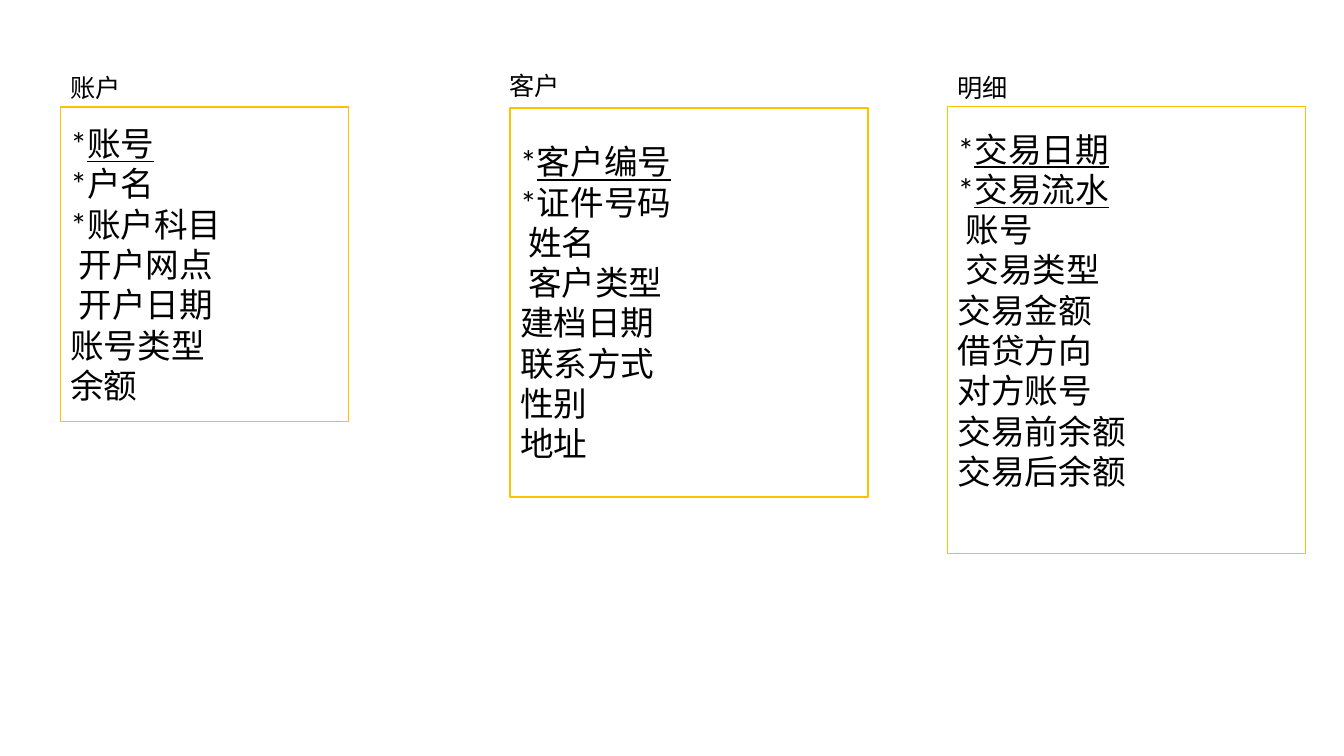
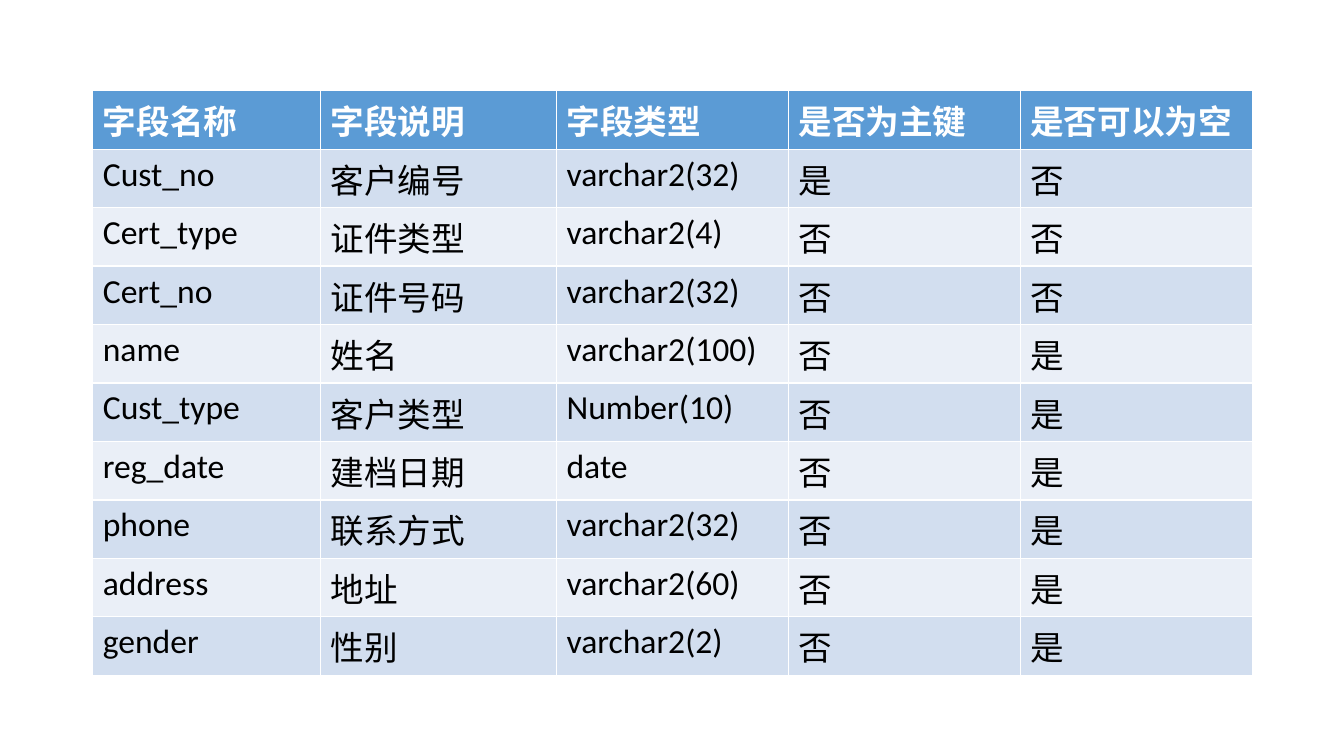
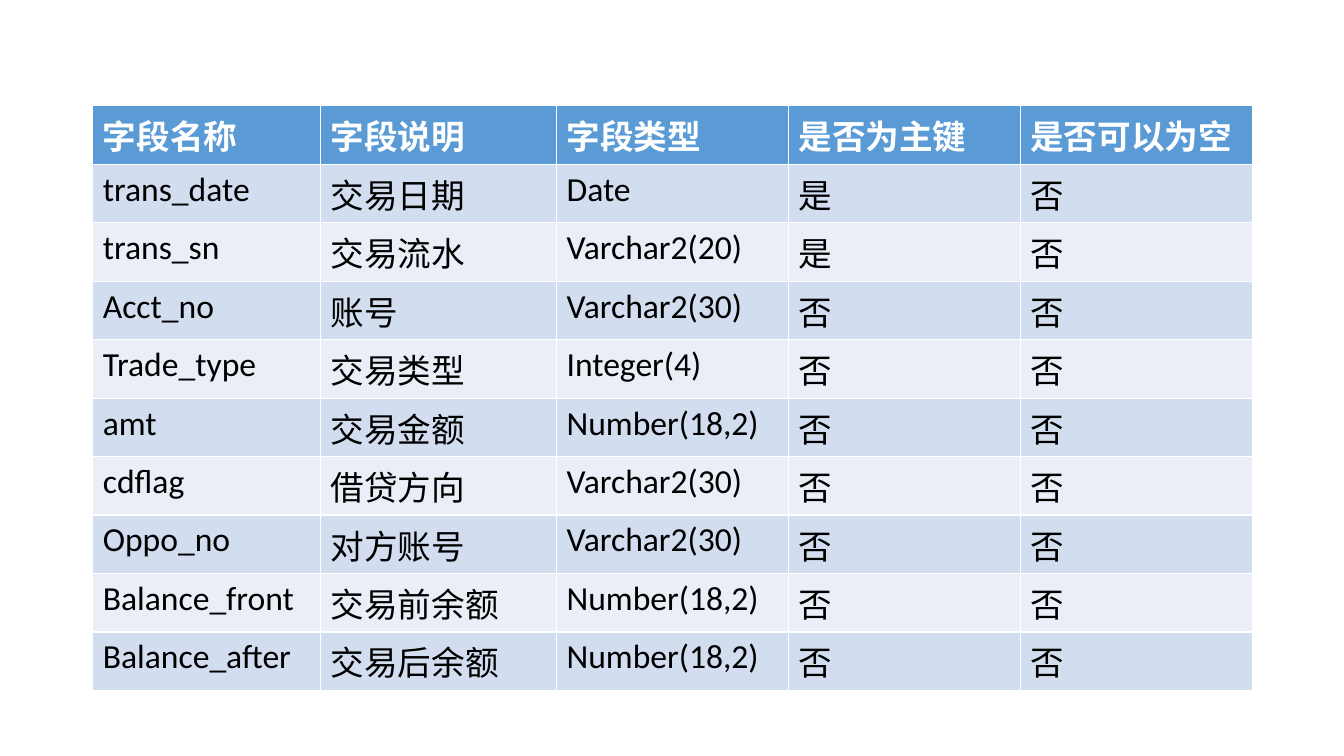
from dataclasses import dataclass

import pptx
import pptx.dml.color
import pptx.enum.shapes
import pptx.enum.text
import pptx.util

Inches = pptx.util.Inches
Pt = pptx.util.Pt
RGB = pptx.dml.color.RGBColor.from_string


@dataclass(frozen=True)
class Theme:
    font: str = "Calibri"
    text: str = "000000"
    white: str = "FFFFFF"
    outline: str = "FFC000"
    header: str = "5B9BD5"
    bands: tuple = ("D2DEEF", "EAEFF7")
    body_size: int = 24
    label_size: int = 18
    line_width: int = 1


THEME = Theme()
FIELD_INDENT = 0.08
LABEL_SIZE = (1.42, 0.4)
TABLE_LEFT = 0.92
COLUMN_WIDTHS = (2.26, 2.34, 2.3, 2.3, 2.3)
ROW_HEIGHT = 0.58
HEADINGS = ("字段名称", "字段说明", "字段类型", "是否为主键", "是否可以为空")


@dataclass(frozen=True)
class Entity:
    name: str
    label_at: tuple
    box: tuple
    keys: tuple
    required: tuple
    indented: tuple
    plain: tuple
    bottom_inset: float = 0.05


ENTITIES = (
    Entity("账户", (0.6, 0.67), (0.6, 1.06, 2.86, 3.12),
           keys=("账号",), required=("户名", "账户科目"),
           indented=("开户网点", "开户日期"), plain=("账号类型", "余额")),
    Entity("客户", (4.95, 0.65), (5.06, 1.07, 3.55, 3.86),
           keys=("客户编号",), required=("证件号码",),
           indented=("姓名", "客户类型"),
           plain=("建档日期", "联系方式", "性别", "地址")),
    Entity("明细", (9.4, 0.67), (9.4, 1.06, 3.55, 4.43),
           keys=("交易日期", "交易流水"), required=(),
           indented=("账号", "交易类型"),
           plain=("交易金额", "借贷方向", "对方账号", "交易前余额", "交易后余额"),
           bottom_inset=0.45),
)

CUSTOMER_FIELDS = (
    ("Cust_no", "客户编号", "varchar2(32)", "是", "否"),
    ("Cert_type", "证件类型", "varchar2(4)", "否", "否"),
    ("Cert_no", "证件号码", "varchar2(32)", "否", "否"),
    ("name", "姓名", "varchar2(100)", "否", "是"),
    ("Cust_type", "客户类型", "Number(10)", "否", "是"),
    ("reg_date", "建档日期", "date", "否", "是"),
    ("phone", "联系方式", "varchar2(32)", "否", "是"),
    ("address", "地址", "varchar2(60)", "否", "是"),
    ("gender", "性别", "varchar2(2)", "否", "是"),
)

TRANSACTION_FIELDS = (
    ("trans_date", "交易日期", "Date", "是", "否"),
    ("trans_sn", "交易流水", "Varchar2(20)", "是", "否"),
    ("Acct_no", "账号", "Varchar2(30)", "否", "否"),
    ("Trade_type", "交易类型", "Integer(4)", "否", "否"),
    ("amt", "交易金额", "Number(18,2)", "否", "否"),
    ("cdflag", "借贷方向", "Varchar2(30)", "否", "否"),
    ("Oppo_no", "对方账号", "Varchar2(30)", "否", "否"),
    ("Balance_front", "交易前余额", "Number(18,2)", "否", "否"),
    ("Balance_after", "交易后余额", "Number(18,2)", "否", "否"),
)


def style_paragraph(p, size, color=THEME.text, bold=False):
    p.alignment = pptx.enum.text.PP_ALIGN.LEFT
    p.font.name = THEME.font
    p.font.size = Pt(size)
    p.font.bold = bold
    p.font.color.rgb = RGB(color)


def add_label(s, text, left, top):
    width, height = LABEL_SIZE
    tf = s.shapes.add_textbox(
        Inches(left), Inches(top), Inches(width), Inches(height)).text_frame
    tf.word_wrap = True
    p = tf.paragraphs[0]
    p.text = text
    style_paragraph(p, THEME.label_size)


def write_fields(tf, entity):
    """List the fields: starred keys underlined, then starred, indented, plain."""
    groups = (("key", entity.keys), ("required", entity.required),
              ("indented", entity.indented), ("plain", entity.plain))
    fields = [(kind, name) for kind, names in groups for name in names]
    for i, (kind, name) in enumerate(fields):
        p = tf.add_paragraph() if i else tf.paragraphs[0]
        style_paragraph(p, THEME.body_size)
        if kind == "key":
            p.add_run().text = "*"
            r = p.add_run()
            r.text = name
            r.font.underline = True
        else:
            p.add_run().text = "*" + name if kind == "required" else name
        if kind == "indented":
            p._p.get_or_add_pPr().set("marL", str(Inches(FIELD_INDENT)))


def add_entity(s, entity):
    add_label(s, entity.name, *entity.label_at)
    sp = s.shapes.add_shape(
        pptx.enum.shapes.MSO_SHAPE.RECTANGLE, *map(Inches, entity.box))
    sp.shadow.inherit = False
    sp.fill.solid()
    sp.fill.fore_color.rgb = RGB(THEME.white)
    sp.line.color.rgb = RGB(THEME.outline)
    sp.line.width = Pt(THEME.line_width)
    tf = sp.text_frame
    tf.word_wrap = True
    tf.vertical_anchor = pptx.enum.text.MSO_ANCHOR.MIDDLE
    tf.margin_bottom = Inches(entity.bottom_inset)
    write_fields(tf, entity)


def add_field_table(s, fields, left, top):
    rows = (HEADINGS, *fields)
    table = s.shapes.add_table(
        len(rows), len(HEADINGS), Inches(left), Inches(top),
        Inches(sum(COLUMN_WIDTHS)), Inches(ROW_HEIGHT * len(rows))).table
    for column, width in zip(table.columns, COLUMN_WIDTHS):
        column.width = Inches(width)
    for i, values in enumerate(rows):
        is_header = i == 0
        fill = THEME.header if is_header else THEME.bands[(i - 1) % 2]
        color = THEME.white if is_header else THEME.text
        table.rows[i].height = Inches(ROW_HEIGHT)
        for j, value in enumerate(values):
            cell = table.cell(i, j)
            cell.fill.solid()
            cell.fill.fore_color.rgb = RGB(fill)
            p = cell.text_frame.paragraphs[0]
            p.text = value
            style_paragraph(p, THEME.body_size, color, is_header)


def main():
    prs = pptx.Presentation()
    prs.slide_width = Inches(13.33)
    prs.slide_height = Inches(7.5)
    blank = prs.slide_layouts[6]

    s = prs.slides.add_slide(blank)
    for entity in ENTITIES:
        add_entity(s, entity)

    for fields, top in ((CUSTOMER_FIELDS, 0.9), (TRANSACTION_FIELDS, 1.05)):
        add_field_table(prs.slides.add_slide(blank), fields, TABLE_LEFT, top)

    prs.save("out.pptx")


if __name__ == "__main__":
    main()
